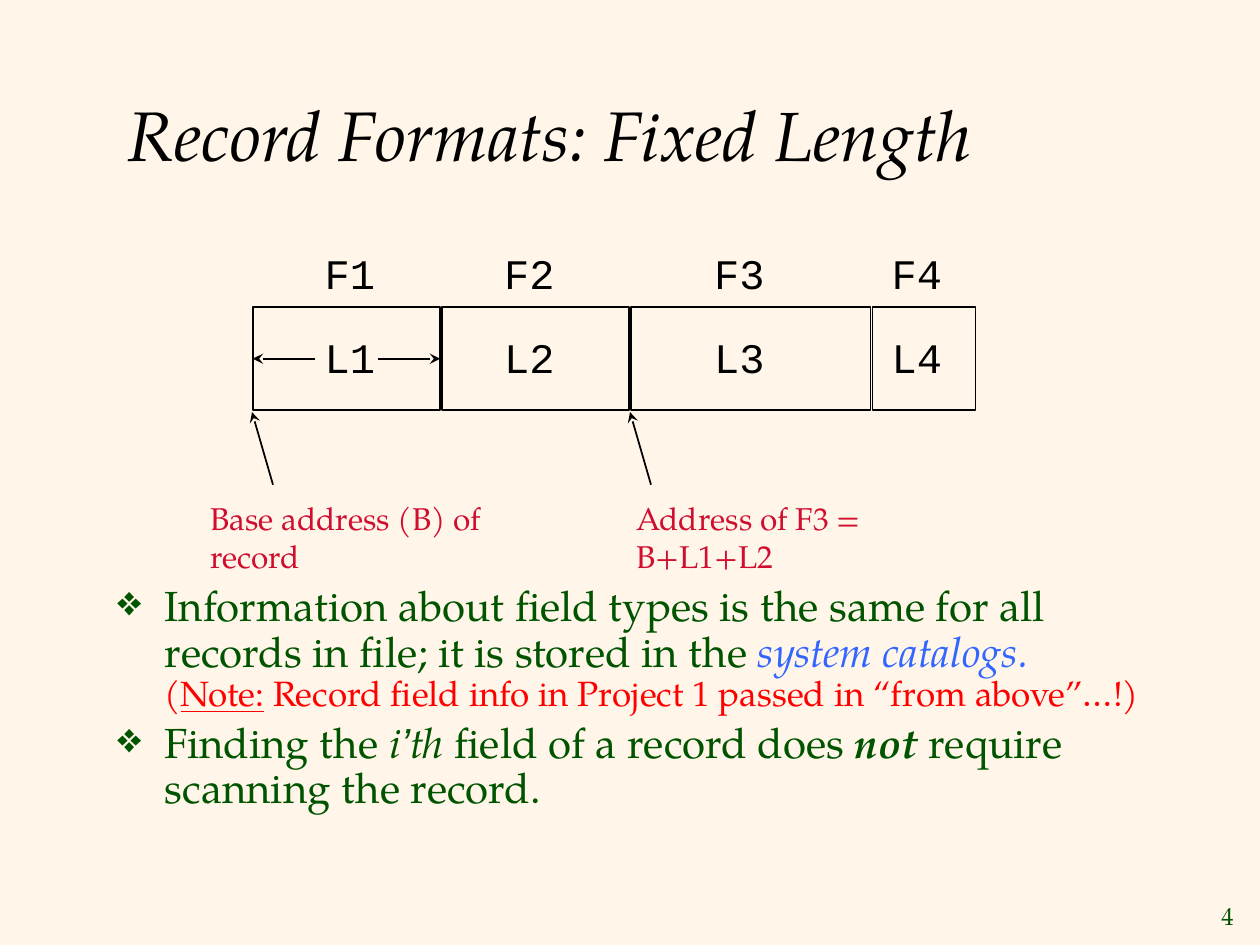
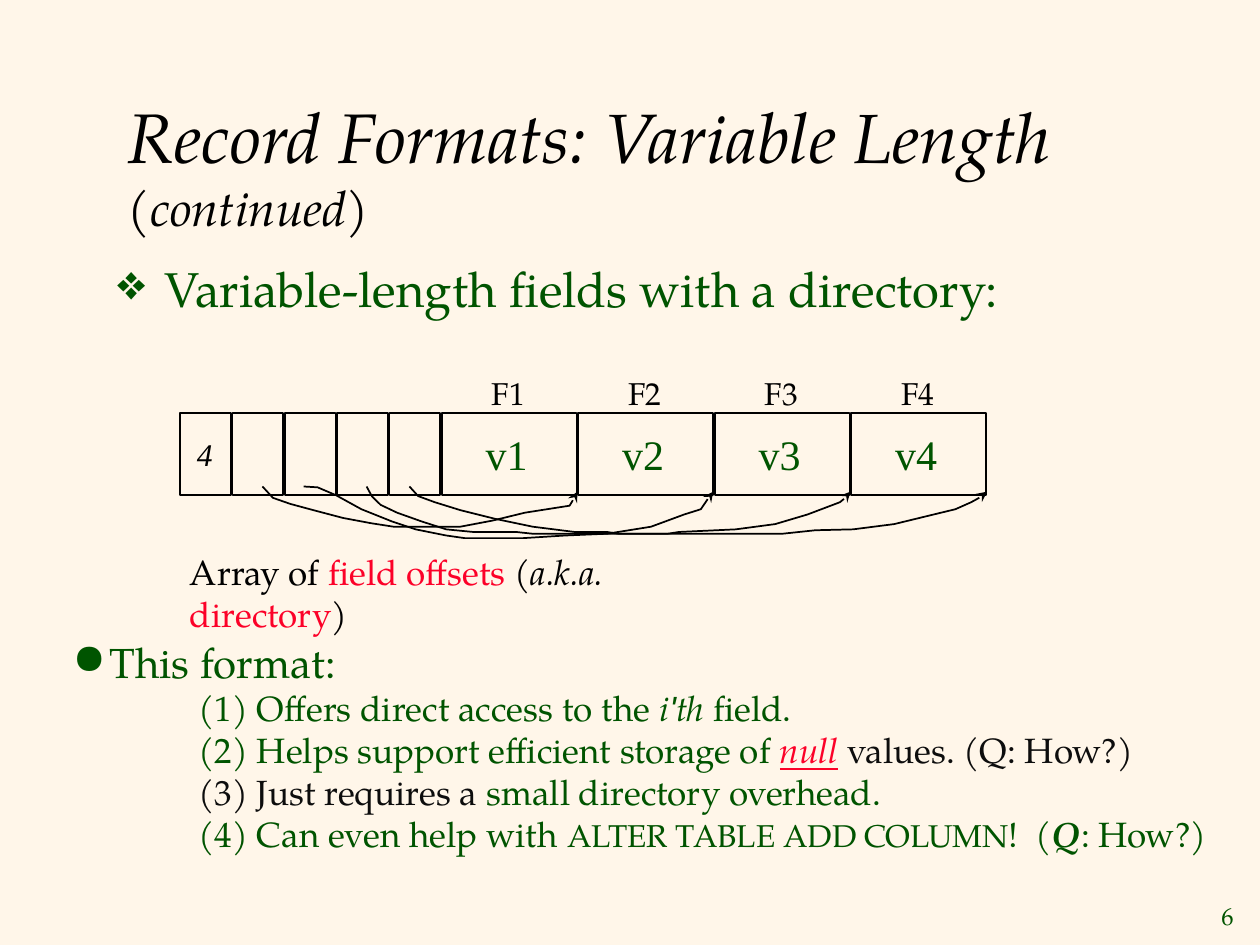
from dataclasses import dataclass, replace

from lxml.etree import SubElement
from pptx import Presentation
from pptx.dml.color import RGBColor
from pptx.enum.shapes import MSO_CONNECTOR as Connector, MSO_SHAPE as Preset
from pptx.enum.text import MSO_ANCHOR as Anchor, PP_ALIGN as Align
from pptx.oxml.ns import qn
from pptx.util import Pt


@dataclass(frozen=True)
class Style:
    size: float
    color: str
    font: str = "TeX Gyre Pagella"
    bold: bool = False
    italic: bool = False
    underline: bool = False

    def but(self, **changes):
        return replace(self, **changes)


@dataclass(frozen=True)
class Para:
    runs: list
    margin: float = 0
    hanging: float = 0
    bullet: str = ""
    leading: float = 1.0
    before: float = 0
    align: Align = Align.LEFT


@dataclass(frozen=True)
class Theme:
    paper: str = "FFF6E9"
    ink: str = "000000"
    soft_ink: str = "0D0D0D"
    green: str = "005400"
    blue: str = "3366FF"
    red: str = "FF0000"
    accent: str = "FC0128"
    crimson: str = "CF0E30"
    huge: float = 40
    big: float = 28
    body: float = 24
    note: float = 20
    small: float = 18
    tiny: float = 14
    line: float = 1
    mono: str = "Courier New"
    serif: str = "Times New Roman"
    sans: str = "Arial"
    diamond: str = "❖"
    dot: str = "●"


class Deck:
    def __init__(self, theme):
        self.theme = theme
        self.show = Presentation()
        self.show.slide_width = Pt(720)
        self.show.slide_height = Pt(540)
        self.slide = None

    def new_slide(self, number, title_runs, title_top):
        t = self.theme
        self.slide = self.show.slides.add_slide(self.show.slide_layouts[6])
        fill = self.slide.background.fill
        fill.solid()
        fill.fore_color.rgb = RGBColor.from_string(t.paper)
        self.text(66, title_top, 612, 87, [Para(title_runs)], Anchor.MIDDLE)
        page = Para([(number, Style(t.tiny, t.green))], align=Align.RIGHT)
        self.text(680.5, 511, 31.5, 24, [page], Anchor.MIDDLE)

    def typeset(self, frame, paras, anchor, left_inset=7.2):
        frame.word_wrap = True
        frame.vertical_anchor = anchor
        frame.margin_left = Pt(left_inset)
        for index, para in enumerate(paras):
            target = frame.add_paragraph() if index else frame.paragraphs[0]
            target.alignment = para.align
            target.line_spacing = para.leading
            target.space_before = Pt(para.before)
            props = target._p.get_or_add_pPr()
            props.set("marL", str(Pt(para.margin)))
            props.set("indent", str(Pt(-para.hanging)))
            if para.bullet:
                tint = SubElement(props, qn("a:buClr"))
                SubElement(tint, qn("a:srgbClr"), val=self.theme.green)
                SubElement(props, qn("a:buChar"), char=para.bullet)
            for words, style in para.runs:
                if words == "\n":
                    target.add_line_break()
                    continue
                run = target.add_run()
                run.text = words
                font = run.font
                font.size = Pt(style.size)
                font.name = style.font
                font.bold = style.bold
                font.italic = style.italic
                font.underline = style.underline
                font.color.rgb = RGBColor.from_string(style.color)

    def text(self, left, top, width, height, paras, anchor=Anchor.TOP):
        box = self.slide.shapes.add_textbox(Pt(left), Pt(top), Pt(width), Pt(height))
        self.typeset(box.text_frame, paras, anchor)

    def label(self, left, top, width, words, style):
        self.text(left, top, width, 32, [Para([(words, style)])])

    def outline(self, shape, arrow=False):
        shape.line.color.rgb = RGBColor.from_string(self.theme.ink)
        shape.line.width = Pt(self.theme.line)
        if arrow:
            line = shape._element.spPr.find(qn("a:ln"))
            SubElement(line, qn("a:tailEnd"), type="stealth")

    def cells(self, left, top, height, widths, gap=1):
        row = []
        for width in widths:
            cell = self.slide.shapes.add_shape(
                Preset.RECTANGLE, Pt(left), Pt(top), Pt(width), Pt(height))
            cell.shadow.inherit = False
            cell.fill.background()
            self.outline(cell)
            row.append(cell)
            left += width + gap
        return row

    def fill_cell(self, cell, words, style, inset):
        cell.text_frame.margin_right = 0
        self.typeset(cell.text_frame, [Para([(words, style)])], Anchor.MIDDLE, inset)

    def arrow(self, start, end, cell=None, side=None):
        line = self.slide.shapes.add_connector(
            Connector.STRAIGHT, *(Pt(value) for value in (*start, *end)))
        if cell is not None:
            line.end_connect(cell, side)
        self.outline(line, arrow=True)
        SubElement(line._element.spPr, qn("a:effectLst"))

    def curve(self, points):
        start, *rest = [(Pt(x), Pt(y)) for x, y in points]
        builder = self.slide.shapes.build_freeform(*start, scale=1.0)
        builder.add_line_segments(rest, close=False)
        curve = builder.convert_to_shape()
        curve.shadow.inherit = False
        curve.fill.background()
        self.outline(curve, arrow=True)


OFFSET_CURVES = [
    [(150, 278), (156, 284.5), (166, 288), (179, 291.5), (196, 296), (212, 299),
     (225, 301), (263, 301), (281.5, 297.5), (300, 293), (325.5, 289),
     (327, 286.5), (330, 281)],
    [(173.5, 278), (181.5, 278.5), (192, 283), (206.5, 291), (224, 298),
     (237.5, 302.5), (255, 306), (265.5, 307.5), (299, 307.5), (323, 306),
     (347, 305), (372, 301), (391, 294), (400.5, 291), (404.5, 285),
     (407, 283), (407.5, 281)],
    [(209.5, 278), (212.5, 283.5), (217.5, 288.5), (227, 293), (241, 298),
     (255, 302.5), (270.5, 304), (295, 304), (304.5, 305), (381.5, 305),
     (388, 304), (420.5, 302.5), (443, 299.5), (461.5, 294), (480, 287),
     (483, 284.5), (486, 281)],
    [(234, 278), (239, 283.5), (248.5, 287), (263, 291.5), (283, 296.5),
     (304.5, 301), (328.5, 304), (347, 304), (353.5, 305), (447, 305),
     (466, 303), (487.5, 302.5), (511, 299.5), (531.5, 294.5), (546, 291),
     (555, 287), (559.5, 284.5), (564, 281)],
]


def fixed_length(deck):
    t = deck.theme
    title = Style(t.huge, t.ink, italic=True)
    deck.new_slide("4", [("Record Formats: Fixed Length", title)], 33)

    main_text = Style(t.body, t.green)
    slanted = main_text.but(italic=True)
    note = Style(t.note, t.red)
    bullet = dict(margin=27, hanging=27, bullet=t.diamond, leading=0.9)
    deck.text(60, 331, 624, 144, [
        Para([
            ("Information about field types is the same for all records in file; "
             "it is stored in the ", main_text),
            ("system catalogs.", slanted.but(color=t.blue)),
            ("\n", note),
            ("(", note),
            ("Note:", note.but(underline=True)),
            (" Record field info in Project 1 passed in “from above”…!)", note),
        ], **bullet),
        Para([
            ("Finding the ", main_text),
            ("i", slanted),
            ("’", slanted.but(font=t.sans)),
            ("th ", slanted),
            ("field of a record does ", main_text),
            ("not", slanted.but(bold=True)),
            (" require scanning the record.", main_text),
        ], before=4.8, **bullet),
    ])

    first, *_ = deck.cells(144.5, 175.5, 59, [107, 107, 137, 59])
    mono = Style(t.body, t.ink, t.mono)
    for number, left in enumerate([178.5, 281, 401, 502.5], 1):
        deck.label(left, 138, 55, f"F{number}", mono)
        deck.label(left, 186, 55, f"L{number}", mono)
    deck.arrow((180, 205), (144.5, 205), first, 1)
    deck.arrow((216, 205), (251.5, 205), first, 3)

    caption = Style(t.small, t.crimson)
    for corner, left, words in [(144, 113, "Base address (B) of record"),
                                (360, 356.5, "Address of F3 = B+L1+L2")]:
        deck.arrow((corner + 12, 277), (corner, 235.5))
        deck.label(left, 281.5, 220, words, caption)


def variable_length(deck):
    t = deck.theme
    title = Style(t.huge, t.ink, italic=True)
    deck.new_slide("6", [
        ("Record Formats: Variable Length ", title),
        ("(continued)", title.but(size=t.big)),
    ], 51)

    heading = ("Variable-length fields with a directory:", Style(t.big, t.green))
    deck.text(60, 144, 612, 54,
              [Para([heading], margin=27, hanging=27, bullet=t.diamond)])

    count, *slots = deck.cells(103, 236, 47, [28.9] * 5 + [77] * 4)
    deck.fill_cell(count, "4", Style(t.small, t.ink, t.serif, italic=True), 9.5)
    for number, field in enumerate(slots[4:], 1):
        deck.fill_cell(field, f"v{number}", Style(t.body, t.green, t.serif), 25)
        deck.label(field.left.pt + 21.5, 210, 50, f"F{number}", Style(t.small, t.ink))
    for points in OFFSET_CURVES:
        deck.curve(points)

    black = Style(t.note, t.ink)
    accent = black.but(color=t.accent)
    deck.text(101.5, 311, 338, 55, [Para([
        ("Array of ", black),
        ("field offsets", accent),
        (" (", black),
        ("a.k.a. ", black.but(italic=True)),
        ("directory", accent),
        (")", black),
    ])])

    item = Style(t.note, t.green)
    slanted = item.but(italic=True)
    soft = item.but(color=t.soft_ink)
    advantages = [
        [("(1) Offers direct access to the ", item), ("i", slanted),
         ("'", slanted.but(font=t.sans)), ("th", slanted), (" field.", item)],
        [("(2) Helps support efficient storage of ", item),
         ("null", accent.but(italic=True, underline=True)),
         (" ", accent), ("values. (Q: How?)", soft)],
        [("(3) Just requires a ", soft), ("small directory overhead.", item)],
        [("(4) Can even help with ", item),
         ("ALTER TABLE ADD COLUMN", item.but(size=t.small)), ("!  (", item),
         ("Q", slanted.but(bold=True)), (": How?)", item)],
    ]
    lead = Para([("This format:", Style(t.body, t.green))],
                margin=21, hanging=21, bullet=t.dot)
    deck.text(34.5, 360, 667.5, 133,
              [lead] + [Para(runs, margin=72) for runs in advantages])


def main():
    deck = Deck(Theme())
    fixed_length(deck)
    variable_length(deck)
    deck.show.save("out.pptx")


if __name__ == "__main__":
    main()
